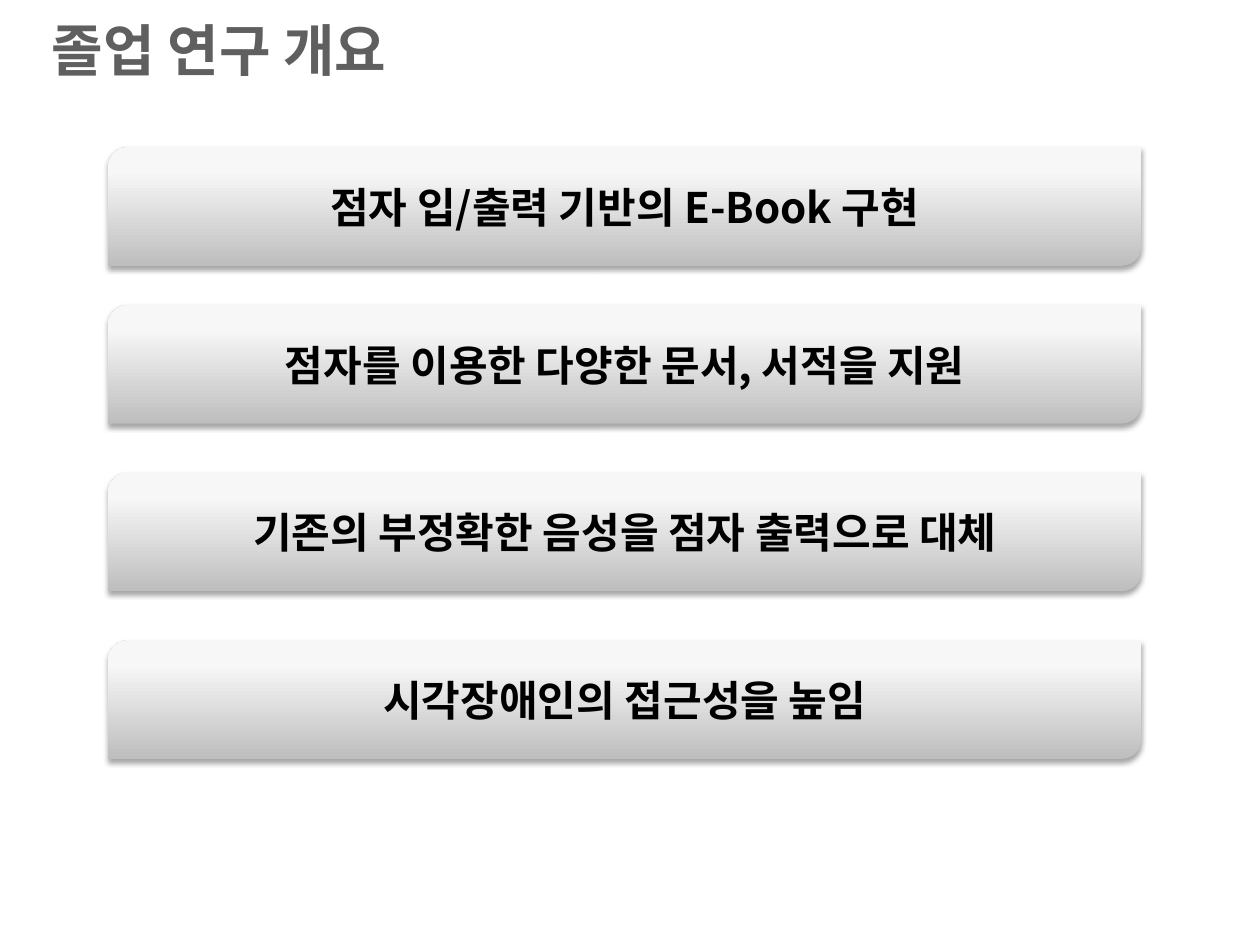
from copy import deepcopy

from lxml import etree
from pptx import Presentation
from pptx.dml.color import RGBColor
from pptx.enum.shapes import MSO_SHAPE
from pptx.enum.text import MSO_ANCHOR, PP_ALIGN
from pptx.oxml.ns import qn
from pptx.util import Cm, Pt

FONT = "Noto Sans CJK KR"
TITLE_GRAY = RGBColor(0x5F, 0x5F, 0x5F)
BLACK = RGBColor(0, 0, 0)
BAR_GRADIENT = [
    (0, RGBColor(0xBE, 0xBE, 0xBE)),
    (0.8, RGBColor(0xF7, 0xF7, 0xF7)),
    (1, RGBColor(0xF8, 0xF8, 0xF8)),
]
BAR = MSO_SHAPE.ROUND_2_DIAG_RECTANGLE
LEFT, CENTER = PP_ALIGN.LEFT, PP_ALIGN.CENTER
MIDDLE = MSO_ANCHOR.MIDDLE

TITLE = "졸업 연구 개요"
GOALS = [
    "점자 입/출력 기반의 E-Book 구현",
    "점자를 이용한 다양한 문서, 서적을 지원",
    "기존의 부정확한 음성을 점자 출력으로 대체",
    "시각장애인의 접근성을 높임",
]
FIRST_TOP, SECOND_TOP, STEP = 2.97, 6.15, 3.38


def write(tf, text, size, color, align=LEFT):
    tf.word_wrap = True
    tf.vertical_anchor = MIDDLE
    p = tf.paragraphs[0]
    p.alignment = align
    r = p.add_run()
    r.text = text
    r.font.name = FONT
    r.font.size = Pt(size)
    r.font.bold = True
    r.font.color.rgb = color
    etree.SubElement(r.font._element, qn("a:ea"), typeface=FONT)


def fill_gradient(sp, stops, angle):
    fill = sp.fill
    fill.gradient()
    fill.gradient_angle = angle
    gs_list = sp._element.spPr.find(qn("a:gradFill")).find(qn("a:gsLst"))
    while len(gs_list) < len(stops):
        gs_list.append(deepcopy(gs_list[0]))
    for stop, (position, color) in zip(fill.gradient_stops, stops):
        stop.position = position
        stop.color.rgb = color


def cast_shadow(sp, blur, distance, opacity):
    """Add a black shadow straight below the shape; lengths in points."""
    sp.shadow.inherit = False
    effects = sp._element.spPr.find(qn("a:effectLst"))
    shadow = etree.SubElement(
        effects, qn("a:outerShdw"), blurRad=str(Pt(blur)),
        dist=str(Pt(distance)), dir="5400000", rotWithShape="0")
    color = etree.SubElement(shadow, qn("a:srgbClr"), val=str(BLACK))
    etree.SubElement(color, qn("a:alpha"), val=str(opacity * 1000))


class Deck:
    def __init__(self):
        self.prs = Presentation()
        self.prs.slide_width, self.prs.slide_height = Cm(25.4), Cm(19.05)
        self.s = self.prs.slides.add_slide(self.prs.slide_layouts[5])

    def title(self, text):
        sp = self.s.shapes.title
        sp.left, sp.top, sp.width, sp.height = Cm(0.79), Cm(0), Cm(24.61), Cm(1.98)
        write(sp.text_frame, text, size=32, color=TITLE_GRAY)

    def bar(self, text, top):
        sp = self.s.shapes.add_shape(BAR, Cm(2.18), Cm(top), Cm(20.83), Cm(2.39))
        fill_gradient(sp, BAR_GRADIENT, angle=90)
        sp.line.fill.background()
        cast_shadow(sp, blur=3.1, distance=1.8, opacity=35)
        write(sp.text_frame, text, size=24, color=BLACK, align=CENTER)


def main():
    deck = Deck()
    deck.title(TITLE)
    deck.bar(GOALS[0], FIRST_TOP)
    for i, goal in enumerate(GOALS[1:]):
        deck.bar(goal, SECOND_TOP + i * STEP)
    deck.prs.save("out.pptx")


if __name__ == "__main__":
    main()
